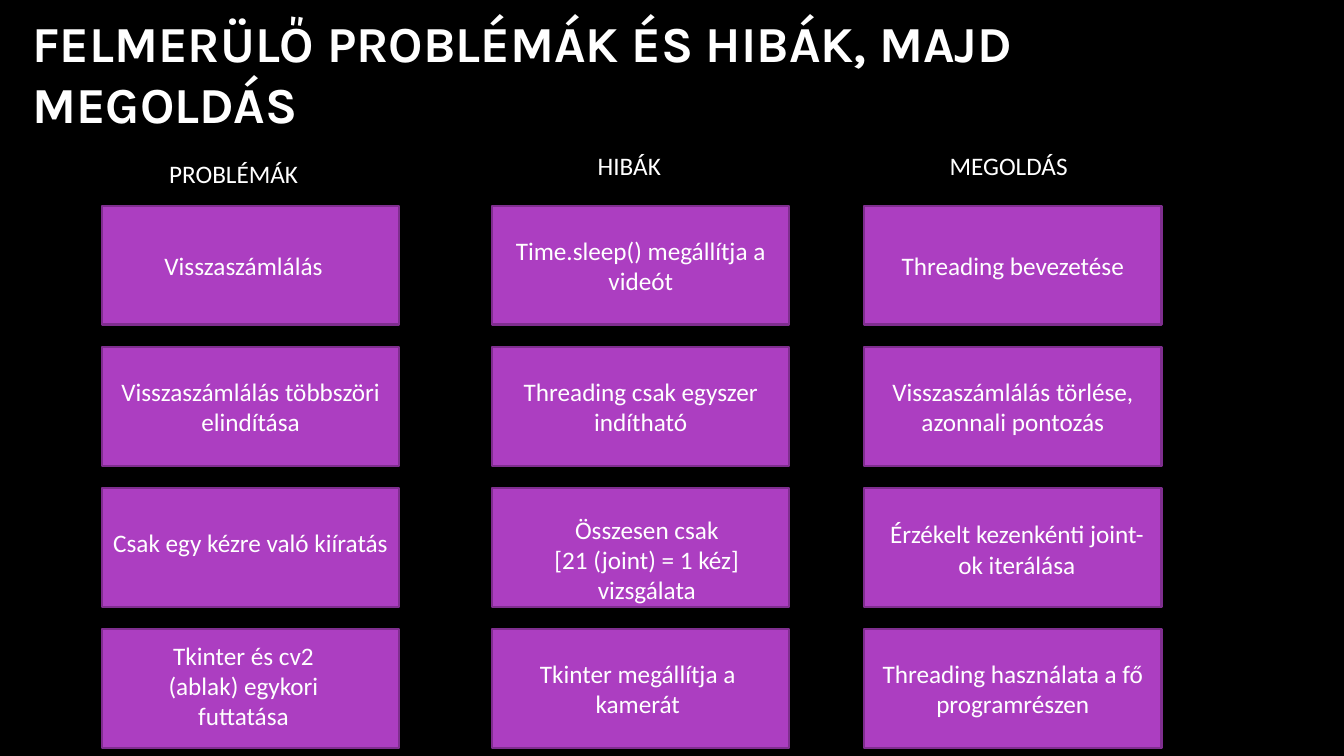
"""Builds a dark slide that pairs problems and errors with their solutions."""
from dataclasses import dataclass

import pptx
import pptx.dml.color
import pptx.enum.shapes
import pptx.enum.text
import pptx.oxml
import pptx.util

SLIDE_W, SLIDE_H = 13.33, 7.5
COLUMN_LEFTS = (1.01, 4.88, 8.57)
FIRST_ROW, ROW_STEP = 2.04, 1.4
CARD_W, CARD_H = 2.95, 1.18
EVEN_INSETS = (0.1, 0.05, 0.1, 0.05)


@dataclass(frozen=True)
class Theme:
    """Colours, fonts and type sizes of the slide."""
    background: str = "000000"
    text: str = "FFFFFF"
    card: str = "AC3EC1"
    border: str = "7F2E8F"
    border_width: float = 1.5
    heading_font: str = "Karla"
    body_font: str = "Calibri"
    heading_size: int = 36
    body_size: int = 18


THEME = Theme()

HEADERS = (
    ("PROBLÉMÁK", 0.57, 1.52, 2.86),
    ("HIBÁK", 0.95, 1.44, 0.97),
    ("MEGOLDÁS", 0.75, 1.44, 1.52),
)

CARDS = (
    ("Visszaszámlálás", "Time.sleep() megállítja a videót", "Threading bevezetése"),
    ("Visszaszámlálás többszöri elindítása", "Threading csak egyszer indítható",
     "Visszaszámlálás törlése, azonnali pontozás"),
    ("Csak egy kézre való kiíratás", "Összesen csak\n[21 (joint) = 1 kéz] vizsgálata",
     "Érzékelt kezenkénti joint-ok iterálása"),
    ("Tkinter és cv2 (ablak) egykori futtatása", "Tkinter megállítja a kamerát",
     "Threading használata a fő programrészen"),
)

CARD_INSETS = {
    (0, 0): (0.45, 0.05, 0.59, 0.05),
    (2, 0): (0.1, 0, 0.1, 0.1),
    (2, 1): (0.46, 0.26, 0.34, 0.02),
    (2, 2): (0.22, 0.08, 0.14, 0.05),
    (3, 0): (0.45, 0, 0.59, 0.06),
    (3, 1): (0.15, 0.05, 0.21, 0.05),
}


def rgb(value):
    """Return a colour from its hexadecimal value."""
    return pptx.dml.color.RGBColor.from_string(value)


def place(element, left, top, width, height):
    """Move and size an element, in inches."""
    element.left, element.top, element.width, element.height = (
        pptx.util.Inches(length) for length in (left, top, width, height))


def write(element, wording, font, size, bold=False, centred=False, insets=EVEN_INSETS):
    """Set the wording of an element and format its runs."""
    frame = element.text_frame
    frame.text = wording
    frame.word_wrap = True
    frame.auto_size = pptx.enum.text.MSO_AUTO_SIZE.NONE
    frame.vertical_anchor = pptx.enum.text.MSO_ANCHOR.MIDDLE
    frame.margin_left, frame.margin_top, frame.margin_right, frame.margin_bottom = (
        pptx.util.Inches(inset) for inset in insets)
    align = pptx.enum.text.PP_ALIGN
    for paragraph in frame.paragraphs:
        paragraph.alignment = align.CENTER if centred else align.LEFT
        paragraph.space_before = pptx.util.Pt(0)
        for run in paragraph.runs:
            run.font.name = font
            run.font.size = pptx.util.Pt(size)
            run.font.bold = bold
            run.font.color.rgb = rgb(THEME.text)


def remove_bullet(paragraph):
    """Clear the bullet and the hanging indent of a paragraph."""
    properties = paragraph._p.get_or_add_pPr()
    properties.set("marL", "0")
    properties.set("indent", "0")
    properties.append(pptx.oxml.parse_xml(
        '<a:buNone xmlns:a="http://schemas.openxmlformats.org/drawingml/2006/main"/>'))


def format_card(card, wording, row, column):
    """Place a card on the grid, then colour and fill it in."""
    place(card, COLUMN_LEFTS[column], FIRST_ROW + row * ROW_STEP, CARD_W, CARD_H)
    card.fill.solid()
    card.fill.fore_color.rgb = rgb(THEME.card)
    card.line.color.rgb = rgb(THEME.border)
    card.line.width = pptx.util.Pt(THEME.border_width)
    write(card, wording, THEME.body_font, THEME.body_size, centred=True,
          insets=CARD_INSETS.get((row, column), EVEN_INSETS))


def add_card(slide, wording, row, column):
    """Add one rectangular card to the grid."""
    card = slide.shapes.add_shape(pptx.enum.shapes.MSO_SHAPE.RECTANGLE, 0, 0, 0, 0)
    card.shadow.inherit = False
    format_card(card, wording, row, column)


def add_header(slide, column, wording, offset, top, width):
    """Add the header above one column."""
    header = slide.shapes.add_textbox(0, 0, 0, 0)
    place(header, COLUMN_LEFTS[column] + offset, top, width, 0.4)
    write(header, wording, THEME.body_font, THEME.body_size)


def main():
    """Build and save the slide."""
    deck = pptx.Presentation()
    deck.slide_width = pptx.util.Inches(SLIDE_W)
    deck.slide_height = pptx.util.Inches(SLIDE_H)
    slide = deck.slides.add_slide(deck.slide_layouts[1])
    slide.background.fill.solid()
    slide.background.fill.fore_color.rgb = rgb(THEME.background)

    title, first_card = slide.placeholders
    place(title, 0.22, -0.03, 12.39, 1.51)
    write(title, "FELMERÜLŐ PROBLÉMÁK ÉS HIBÁK, MAJD MEGOLDÁS",
          THEME.heading_font, THEME.heading_size, bold=True)

    for column, header in enumerate(HEADERS):
        add_header(slide, column, *header)
    for row, wordings in enumerate(CARDS):
        for column, wording in enumerate(wordings):
            if (row, column) == (0, 0):
                format_card(first_card, wording, row, column)
                remove_bullet(first_card.text_frame.paragraphs[0])
            else:
                add_card(slide, wording, row, column)
    deck.save("out.pptx")


if __name__ == "__main__":
    main()
